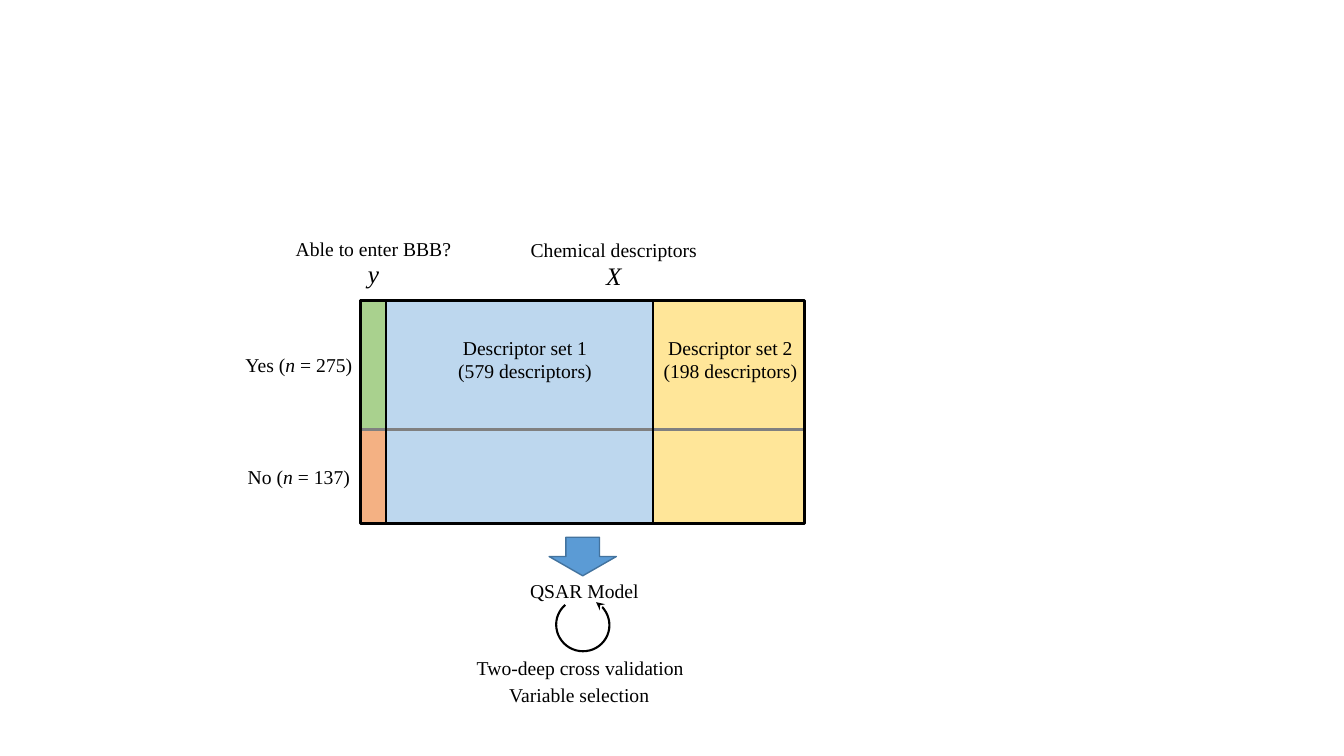
from collections import namedtuple
from itertools import accumulate

from lxml import etree
from pptx import Presentation
from pptx.dml.color import RGBColor
from pptx.enum.shapes import MSO_CONNECTOR, MSO_SHAPE
from pptx.enum.text import MSO_AUTO_SIZE, PP_ALIGN
from pptx.oxml.ns import qn
from pptx.util import Inches, Pt

RECTANGLE, DOWN_ARROW, ARC = MSO_SHAPE.RECTANGLE, MSO_SHAPE.DOWN_ARROW, MSO_SHAPE.ARC
STRAIGHT = MSO_CONNECTOR.STRAIGHT
FIT_TEXT = MSO_AUTO_SIZE.SHAPE_TO_FIT_TEXT
LEFT, CENTER = PP_ALIGN.LEFT, PP_ALIGN.CENTER

BLACK = RGBColor(0x00, 0x00, 0x00)
GREY = RGBColor(0x80, 0x80, 0x80)
GREEN = RGBColor(0xA9, 0xD1, 0x8E)
ORANGE = RGBColor(0xF4, 0xB1, 0x83)
PALE_BLUE = RGBColor(0xBD, 0xD7, 0xEE)
YELLOW = RGBColor(0xFF, 0xE6, 0x99)
BLUE = RGBColor(0x5B, 0x9B, 0xD5)
DARK_BLUE = RGBColor(0x43, 0x73, 0x9E)

FONT = "Times New Roman"
COLUMN_WEIGHTS = (5, 53, 30)
ROW_WEIGHTS = (58, 42)

Box = namedtuple("Box", "left top width height")


def part(box, left, top, width, height):
    """Return the box lying at the given shares of another box."""
    return Box(box.left + left * box.width, box.top + top * box.height,
               width * box.width, height * box.height)


def centred(box, x, y, width, height):
    """Return the box centred on the given shares of another box."""
    return part(box, x - width / 2, y - height / 2, width, height)


def edges(weights):
    """Return the grid edges, as shares, of weighted tracks."""
    return [edge / sum(weights) for edge in accumulate(weights, initial=0)]


def add_figure(slide, kind, box, fill=None, line=None, line_width=1):
    """Add a preset shape with an optional fill and outline."""
    shape = slide.shapes.add_shape(kind, *map(Inches, box))
    shape.shadow.inherit = False
    if fill is None:
        shape.fill.background()
    else:
        shape.fill.solid()
        shape.fill.fore_color.rgb = fill
    if line is None:
        shape.line.fill.background()
    else:
        shape.line.color.rgb = line
        shape.line.width = Pt(line_width)
    return shape


def add_rule(slide, box, color):
    """Add a straight line from the top left to the bottom right of a box."""
    rule = slide.shapes.add_connector(
        STRAIGHT, Inches(box.left), Inches(box.top),
        Inches(box.left + box.width), Inches(box.top + box.height))
    rule.line.color.rgb = color
    rule.line.width = Pt(1.5)
    etree.SubElement(rule._element.spPr, qn("a:effectLst"))


def add_label(slide, box, text, size=14, alignment=CENTER, wrap=False):
    """Add text in which stars enclose the italic stretches."""
    frame = slide.shapes.add_textbox(*map(Inches, box)).text_frame
    frame.word_wrap = wrap
    frame.auto_size = FIT_TEXT
    for number, line in enumerate(text.split("\n")):
        paragraph = frame.add_paragraph() if number else frame.paragraphs[0]
        paragraph.alignment = alignment
        for index, stretch in enumerate(line.split("*")):
            if stretch:
                run = paragraph.add_run()
                run.text = stretch
                run.font.name = FONT
                run.font.size = Pt(size)
                run.font.color.rgb = BLACK
                run.font.italic = index % 2 == 1


def draw_matrix(slide, box):
    """Draw the response column and the two descriptor blocks."""
    start, response_end, first_end, end = edges(COLUMN_WEIGHTS)
    top, split, bottom = edges(ROW_WEIGHTS)
    for left, right, upper, lower, color in (
            (response_end, first_end, top, bottom, PALE_BLUE),
            (first_end, end, top, bottom, YELLOW),
            (start, response_end, split, bottom, ORANGE),
            (start, response_end, top, split, GREEN)):
        cell = part(box, left, upper, right - left, lower - upper)
        add_figure(slide, RECTANGLE, cell, color)
    add_rule(slide, part(box, 0, split, 1, 0), GREY)
    for column_edge in (response_end, first_end):
        add_rule(slide, part(box, column_edge, 0, 0, 1), BLACK)
    add_figure(slide, RECTANGLE, box, line=BLACK, line_width=2.25)


def label_matrix(slide, box):
    """Label the columns, rows and descriptor blocks of the matrix."""
    start, response_end, first_end, end = edges(COLUMN_WEIGHTS)
    top, split, bottom = edges(ROW_WEIGHTS)
    response_x = (start + response_end) / 2
    descriptor_x = 0.57
    add_label(slide, centred(box, response_x, -0.12, 0.07, 0.18), "*y*", 18)
    add_label(slide, centred(box, descriptor_x, -0.11, 0.08, 0.18), "*X*", 18)
    for x, width, text in ((response_x, 0.4, "Able to enter BBB?"),
                           (descriptor_x, 0.42, "Chemical descriptors")):
        add_label(slide, centred(box, x, -0.23, width, 0.15), text)
    for upper, lower, text in ((top, split, "Yes (*n* = 275)"),
                               (split, bottom, "No (*n* = 137)")):
        add_label(slide, centred(box, -0.14, (upper + lower) / 2, 0.29, 0.15), text)
    for left, right, share, text in (
            (response_end, first_end, 0.52, "Descriptor set 1\n(579 descriptors)"),
            (first_end, end, 0.51, "Descriptor set 2\n(198 descriptors)")):
        x = left + share * (right - left)
        add_label(slide, centred(box, x, 0.46 * split, 0.35, 0.26), text)


def draw_model(slide, box):
    """Draw the arrow to the model and its validation loop."""
    add_figure(slide, DOWN_ARROW, centred(box, 0.5, 0.11, 0.29, 0.22), BLUE, DARK_BLUE)
    loop = add_figure(slide, ARC, centred(box, 0.5, 0.5, 0.23, 0.3),
                      line=BLACK, line_width=1.5)
    loop.rotation = 22.6
    loop.adjustments[0], loop.adjustments[1] = 166.68, 123.63
    etree.SubElement(loop.line._get_or_add_ln(), qn("a:headEnd"), type="stealth")
    for left, top, width, text in ((0.23, 0.21, 0.63, "QSAR Model"),
                                   (0, 0.65, 1, "Two-deep cross validation"),
                                   (0.14, 0.8, 1, "Variable selection")):
        add_label(slide, part(box, left, top, width, 0.19), text,
                  alignment=LEFT, wrap=True)


def main():
    """Build and save the presentation."""
    presentation = Presentation()
    presentation.slide_width = Inches(13.33)
    presentation.slide_height = Inches(7.5)
    slide = presentation.slides.add_slide(presentation.slide_layouts[6])
    matrix = Box(3.58, 2.98, 4.4, 2.21)
    draw_matrix(slide, matrix)
    label_matrix(slide, matrix)
    draw_model(slide, Box(4.63, 5.33, 2.3, 1.74))
    presentation.save("out.pptx")


main()
